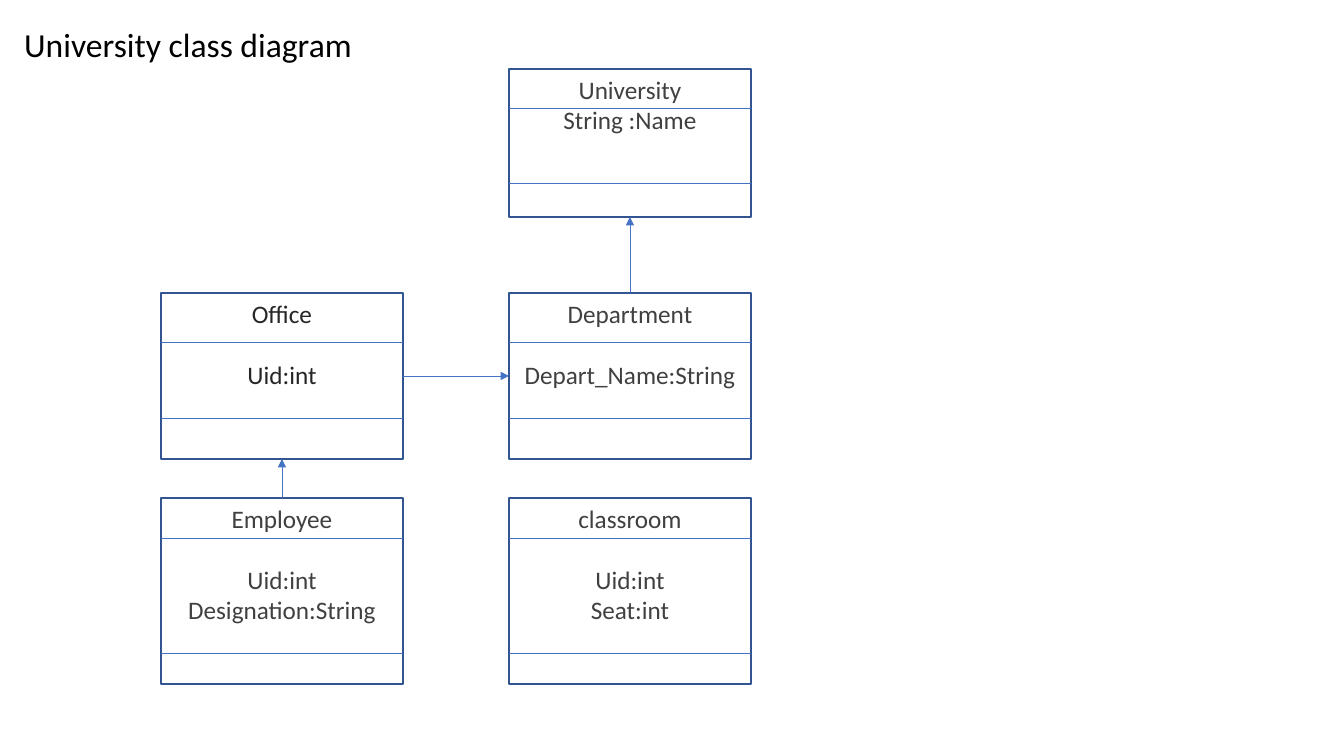
"""Build the university class diagram slide."""
import dataclasses
import typing

import pptx
import pptx.dml.color
import pptx.enum.shapes
import pptx.enum.text
import pptx.oxml.ns
import pptx.shapes.autoshape
import pptx.shapes.connector
import pptx.slide
import pptx.text.text
import pptx.util
from lxml import etree

PIXEL = 914400 / 100.8
FONT = "Calibri"
WHITE = pptx.dml.color.RGBColor(0xFF, 0xFF, 0xFF)
BLACK = pptx.dml.color.RGBColor(0x00, 0x00, 0x00)
GRAY = pptx.dml.color.RGBColor(0x40, 0x40, 0x40)
DARK_GRAY = pptx.dml.color.RGBColor(0x26, 0x26, 0x26)
NAVY = pptx.dml.color.RGBColor(0x32, 0x54, 0x91)
BLUE = pptx.dml.color.RGBColor(0x44, 0x72, 0xC4)

CLASS_WIDTH = 242
LEFT_COLUMN, RIGHT_COLUMN = 161, 509
LINE_GAP = 22
TOP, LEFT, BOTTOM, RIGHT = range(4)


@dataclasses.dataclass(frozen=True)
class Row:
    top: int
    height: int
    dividers: tuple[int, int]


@dataclasses.dataclass(frozen=True)
class ClassBox:
    name: str
    fields: tuple[str, ...]
    left: int
    row: Row
    color: pptx.dml.color.RGBColor = GRAY
    gap: int = LINE_GAP
    filled: bool = True


@dataclasses.dataclass(frozen=True)
class Arrow:
    source: str
    source_side: int
    target: str
    target_side: int


UPPER = Row(69, 148, (108, 183))
MIDDLE = Row(293, 166, (342, 418))
LOWER = Row(498, 186, (538, 653))

CLASSES = (
    ClassBox("University", ("String :Name",), RIGHT_COLUMN, UPPER, gap=0),
    ClassBox("Department", ("Depart_Name:String",), RIGHT_COLUMN, MIDDLE),
    ClassBox("Office", ("Uid:int",), LEFT_COLUMN, MIDDLE, color=DARK_GRAY),
    ClassBox("classroom", ("Uid:int", "Seat:int"), RIGHT_COLUMN, LOWER, filled=False),
    ClassBox("Employee", ("Uid:int", "Designation:String"), LEFT_COLUMN, LOWER),
)
ARROWS = (
    Arrow("Department", TOP, "University", BOTTOM),
    Arrow("Office", RIGHT, "Department", LEFT),
    Arrow("Employee", TOP, "Office", BOTTOM),
)


def px(length: float) -> pptx.util.Emu:
    """Turn pixels into EMU."""
    return pptx.util.Emu(round(length * PIXEL))


def format_text(frame: pptx.text.text.TextFrame, size: int, color: pptx.dml.color.RGBColor) -> None:
    """Centre every paragraph and set its font."""
    frame.word_wrap = True
    for para in frame.paragraphs:
        para.alignment = pptx.enum.text.PP_ALIGN.CENTER
        for span in para.runs:
            span.font.name = FONT
            span.font.size = pptx.util.Pt(size)
            span.font.color.rgb = color


def draw_title(page: pptx.slide.Slide, text: str) -> None:
    """Write the slide title."""
    box = page.shapes.add_textbox(px(0), px(12), px(376), px(58))
    frame = box.text_frame
    frame.text = text
    frame.vertical_anchor = pptx.enum.text.MSO_ANCHOR.BOTTOM
    frame.paragraphs[0].line_spacing = 0.9
    format_text(frame, 24, BLACK)


def draw_line(page: pptx.slide.Slide, left: int, right: int, top: int,
              arrow: bool = False) -> pptx.shapes.connector.Connector:
    """Draw a thin line, with an arrowhead at its end if asked."""
    line = page.shapes.add_connector(
        pptx.enum.shapes.MSO_CONNECTOR.STRAIGHT, px(left), px(top), px(right), px(top))
    line.line.color.rgb = BLUE
    line.line.width = pptx.util.Pt(0.5)
    properties = line._element.spPr
    if arrow:
        outline = properties.find(pptx.oxml.ns.qn("a:ln"))
        etree.SubElement(outline, pptx.oxml.ns.qn("a:tailEnd"), type="triangle")
    etree.SubElement(properties, pptx.oxml.ns.qn("a:effectLst"))
    return line


def draw_class(page: pptx.slide.Slide, item: ClassBox) -> pptx.shapes.autoshape.Shape:
    """Draw a class box with its name, fields and dividers."""
    box = page.shapes.add_shape(
        pptx.enum.shapes.MSO_SHAPE.RECTANGLE,
        px(item.left), px(item.row.top), px(CLASS_WIDTH), px(item.row.height))
    box.shadow.inherit = False
    if item.filled:
        box.fill.solid()
        box.fill.fore_color.rgb = WHITE
    else:
        box.fill.background()
    box.line.color.rgb = NAVY
    box.line.width = pptx.util.Pt(1)
    frame = box.text_frame
    frame.text = "\n".join((item.name, *item.fields))
    frame.vertical_anchor = pptx.enum.text.MSO_ANCHOR.TOP
    frame.paragraphs[1].space_before = pptx.util.Pt(item.gap)
    format_text(frame, 18, item.color)
    for divider in item.row.dividers:
        draw_line(page, item.left, item.left + CLASS_WIDTH, divider)
    return box


def draw_arrow(page: pptx.slide.Slide, item: Arrow,
               boxes: typing.Mapping[str, pptx.shapes.autoshape.Shape]) -> None:
    """Connect two class boxes with an arrow."""
    line = draw_line(page, 0, 0, 0, arrow=True)
    line.begin_connect(boxes[item.source], item.source_side)
    line.end_connect(boxes[item.target], item.target_side)


def main() -> None:
    """Build and save the deck."""
    deck = pptx.Presentation()
    deck.slide_width, deck.slide_height = px(1344), px(756)
    page = deck.slides.add_slide(deck.slide_layouts[6])
    draw_title(page, "University class diagram")
    boxes = {item.name: draw_class(page, item) for item in CLASSES}
    for arrow in ARROWS:
        draw_arrow(page, arrow, boxes)
    deck.save("out.pptx")


main()
